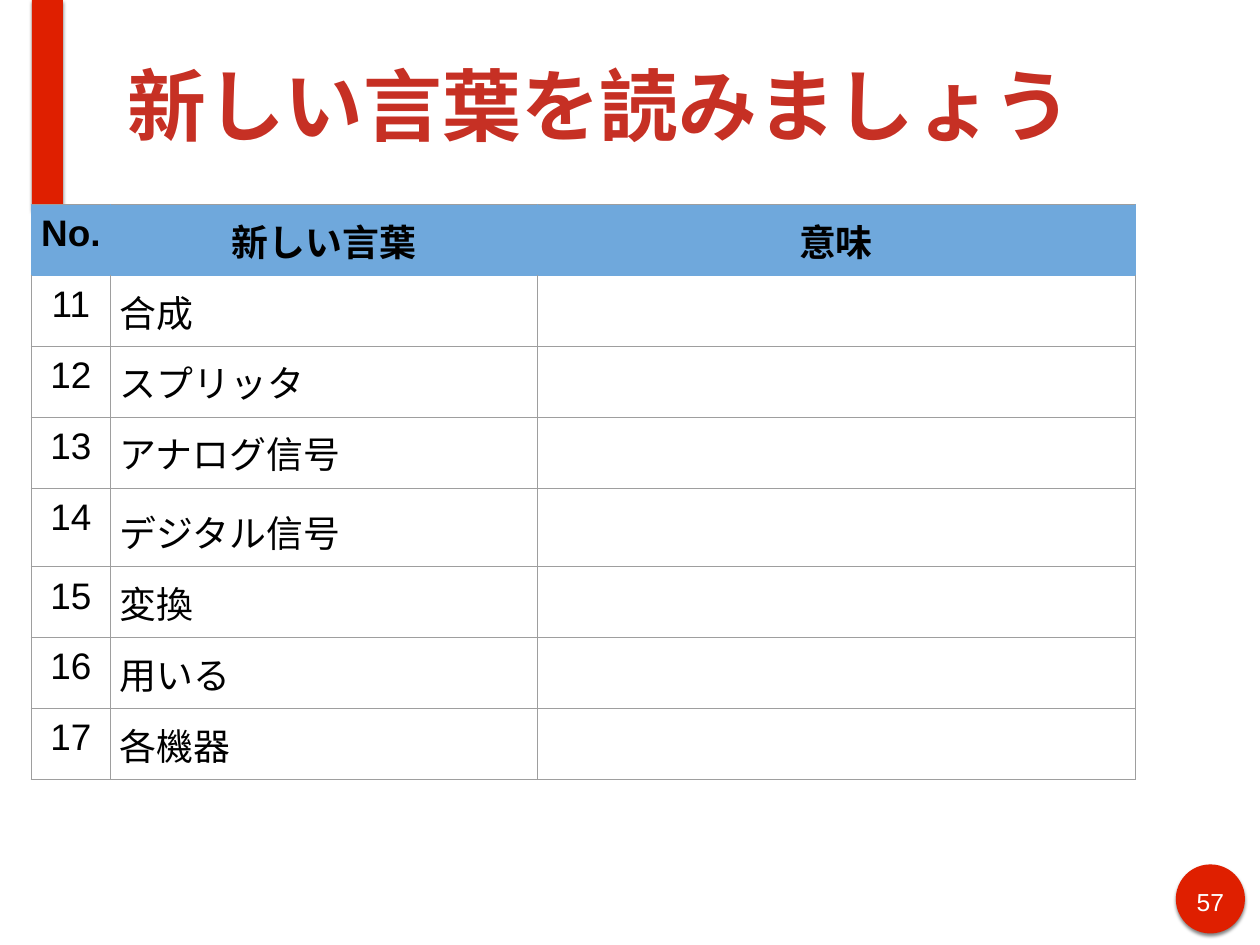
from lxml import etree
from pptx import Presentation
from pptx.dml.color import RGBColor
from pptx.enum.shapes import MSO_SHAPE
from pptx.enum.text import MSO_ANCHOR, PP_ALIGN
from pptx.oxml.ns import qn
from pptx.util import Inches, Pt

RECTANGLE, OVAL = MSO_SHAPE.RECTANGLE, MSO_SHAPE.OVAL
LEFT, CENTER = PP_ALIGN.LEFT, PP_ALIGN.CENTER
TOP, MIDDLE = MSO_ANCHOR.TOP, MSO_ANCHOR.MIDDLE

FONT = "Arial"
RED, TITLE_RED, BLUE, GREY = "DF1F00", "C63024", "6FA8DC", "9E9E9E"
BLACK, WHITE = "000000", "FFFFFF"

HEADINGS = ["No.", "新しい言葉", "意味"]
WORDS = ["合成", "スプリッタ", "アナログ信号", "デジタル信号", "変換", "用いる", "各機器"]
FIRST_NUMBER = 11
SPACED_WORD = "デジタル信号"
COLUMN_WIDTHS = [0.9, 4.81, 6.75]
ROW_HEIGHT, SPACED_ROW_HEIGHT = 0.8, 0.89


def rgb(value):
    return RGBColor.from_string(value)


def write(frame, text, size, color=BLACK, bold=False, align=LEFT, east_asian_font=None,
          line_spacing=None, space_after=None):
    para = frame.paragraphs[0]
    para.alignment = align
    if line_spacing:
        para.line_spacing = line_spacing
    if space_after:
        para.space_after = Pt(space_after)
    span = para.add_run()
    span.text = text
    span.font.size = Pt(size)
    span.font.bold = bold
    span.font.name = FONT
    span.font.color.rgb = rgb(color)
    if east_asian_font:
        etree.SubElement(span.font._element, qn("a:ea"), typeface=east_asian_font)


def add_text(page, box, text, anchor=TOP, **text_format):
    frame = page.shapes.add_textbox(*map(Inches, box)).text_frame
    frame.word_wrap = True
    frame.vertical_anchor = anchor
    frame.margin_left = frame.margin_right = Inches(0.06)
    frame.margin_top = frame.margin_bottom = Inches(0.06)
    write(frame, text, **text_format)


def add_shadowed_shape(page, kind, box):
    shape = page.shapes.add_shape(kind, *map(Inches, box))
    shape.fill.solid()
    shape.fill.fore_color.rgb = rgb(RED)
    shape.line.fill.background()
    shape.shadow.inherit = False
    effects = shape._element.spPr.find(qn("a:effectLst"))
    shadow = etree.SubElement(effects, qn("a:outerShdw"), blurRad=str(Pt(3)), dist=str(Pt(2)),
                              dir="5400000", algn="ctr", rotWithShape="0")
    color = etree.SubElement(shadow, qn("a:srgbClr"), val=BLACK)
    etree.SubElement(color, qn("a:alpha"), val="50000")


def set_borders(cell, colors):
    """Draw the left, right, top and bottom borders in the four given colours."""
    properties = cell._tc.get_or_add_tcPr()
    for side, color in zip("LRTB", colors):
        line = etree.SubElement(properties, qn(f"a:ln{side}"), w=str(Pt(0.75)))
        fill = etree.SubElement(line, qn("a:solidFill"))
        etree.SubElement(fill, qn("a:srgbClr"), val=color)


def format_cell(cell, row):
    if row == 0:
        set_borders(cell, [BLUE, BLUE, GREY, BLUE])
    else:
        set_borders(cell, [GREY, GREY, BLUE if row == 1 else GREY, GREY])
    cell.fill.solid()
    cell.fill.fore_color.rgb = rgb(WHITE if row else BLUE)
    cell.margin_left = cell.margin_right = Inches(0.1)
    cell.margin_top = cell.margin_bottom = Inches(0.1)


def add_word_table(page, box):
    rows = [HEADINGS] + [[str(number), word, ""] for number, word in enumerate(WORDS, FIRST_NUMBER)]
    table = page.shapes.add_table(len(rows), len(HEADINGS), *map(Inches, box)).table
    table.first_row = table.horz_banding = False
    for column, width in zip(table.columns, COLUMN_WIDTHS):
        column.width = Inches(width)
    for row, texts in enumerate(rows):
        table.rows[row].height = Inches(SPACED_ROW_HEIGHT if SPACED_WORD in texts else ROW_HEIGHT)
        for column, text in enumerate(texts):
            cell = table.cell(row, column)
            format_cell(cell, row)
            if text:
                spacing = {"line_spacing": 1.15, "space_after": 25} if text == SPACED_WORD else {}
                centered = row == 0 or column == 0
                write(cell.text_frame, text, size=30, bold=row == 0,
                      align=CENTER if centered else LEFT, **spacing)


def add_page_number(page, box, number):
    left, top, width, height = box
    add_shadowed_shape(page, OVAL, box)
    add_text(page, (left + 0.15, top + 0.19, width - 0.3, height - 0.39), number,
             size=20, color=WHITE, align=CENTER)


def add_word_page(deck):
    page = deck.slides.add_slide(deck.slide_layouts[6])
    add_shadowed_shape(page, RECTANGLE, (0.36, 0, 0.35, 2.36))
    add_page_number(page, (13.27, 9.76, 0.78, 0.78), "57")
    add_word_table(page, (0.35, 2.31, 12.46, 6.49))
    add_text(page, (1.38, 0.11, 12.14, 2.12), "新しい言葉を読みましょう", anchor=MIDDLE,
             size=64, color=TITLE_RED, bold=True, east_asian_font=FONT)


def main():
    deck = Presentation()
    deck.slide_width, deck.slide_height = Inches(14.22), Inches(10.67)
    add_word_page(deck)
    deck.save("out.pptx")


if __name__ == "__main__":
    main()
